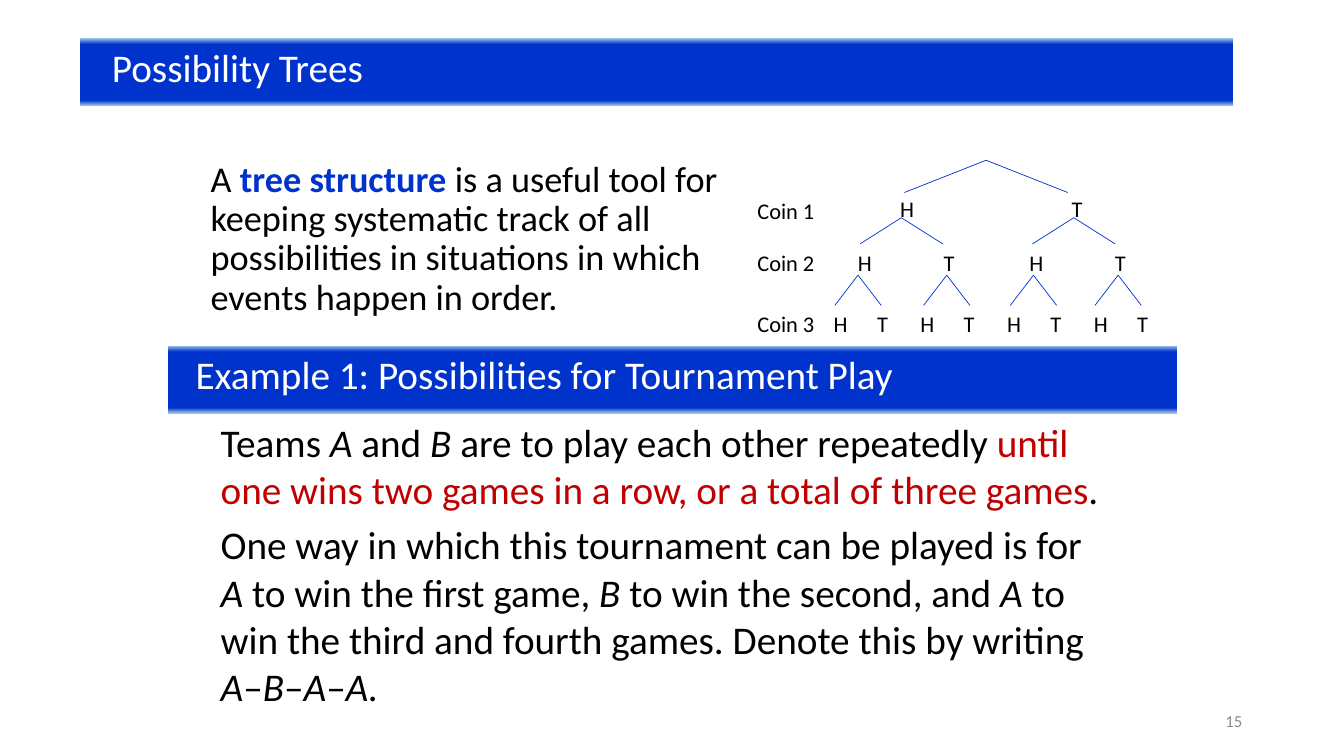
from copy import deepcopy

from lxml import etree
from pptx import Presentation
from pptx.dml.color import RGBColor
from pptx.enum import shapes, text
from pptx.oxml import ns
from pptx.util import Inches, Pt

COLORS = {
    "blue": "0033CC",
    "light_blue": "9DC3E6",
    "red": "C00000",
    "black": "000000",
    "white": "FFFFFF",
    "gray": "8C8C8C",
}
BAR_STOPS = [(0, "light_blue"), (0.09, "blue"), (0.92, "blue"), (1, "light_blue")]

# Letter left, letter step, letter top, label top, branch half width,
# branch top, branch bottom and branch apexes of each coin's level
TREE_LEVELS = [
    (8.83, 1.7, 1.89, 1.91, 0.81, 1.59, 1.91, [9.78]),
    (8.41, 0.85, 2.42, 2.42, 0.41, 2.16, 2.42, [8.94, 10.65]),
    (8.17, 0.43, 3.03, 3.03, 0.23, 2.73, 3.03, [8.51, 9.39, 10.25, 11.09]),
]

DEFINITION = [[
    ("A ", ""),
    ("tree structure ", "term"),
    ("is a useful tool for keeping systematic track of all possibilities "
     "in situations in which events happen in order.", ""),
]]
TOURNAMENT = [
    [
        ("Teams ", ""), ("A", "team"), (" and ", ""), ("B", "team"),
        (" are to play each other repeatedly ", ""),
        ("until one wins two games in a row, or a total of three games", "rule"),
        (".", ""),
    ],
    [
        ("One way in which this tournament can be played is for ", ""),
        ("A", "team"), (" to win the first game, ", ""),
        ("B", "team"), (" to win the second, and ", ""),
        ("A", "team"),
        (" to win the third and fourth games. Denote this by writing ", ""),
        ("A", "team"), ("–", ""), ("B", "team"), ("–", ""),
        ("A", "team"), ("–", ""), ("A.", "team"),
    ],
]


def rgb(name):
    return RGBColor.from_string(COLORS[name])


def set_font(font, size, color="black"):
    font.name = "Calibri"
    font.size = Pt(size)
    font.color.rgb = rgb(color)


def format_bar(shape, box, heading, indent):
    """Place a heading bar and give it its gradient and white text."""
    shape.left, shape.top, shape.width, shape.height = map(Inches, box)
    shape.fill.gradient()
    shape.fill.gradient_angle = 270
    stop_list = shape.element.spPr.find(".//" + ns.qn("a:gsLst"))
    for stop in list(stop_list):
        stop_list.append(deepcopy(stop))
    for stop, (position, color) in zip(shape.fill.gradient_stops, BAR_STOPS):
        stop.position = position
        stop.color.rgb = rgb(color)
    shape.line.fill.background()
    frame = shape.text_frame
    frame.text = heading
    frame.word_wrap = True
    frame.auto_size = text.MSO_AUTO_SIZE.NONE
    frame.vertical_anchor = text.MSO_ANCHOR.TOP
    frame.margin_left = Inches(indent)
    paragraph = frame.paragraphs[0]
    paragraph.alignment = text.PP_ALIGN.LEFT
    set_font(paragraph.runs[0].font, 28, "white")


def add_label(parent, box, label, size=16, color="black",
              alignment=text.PP_ALIGN.CENTER):
    frame = parent.add_textbox(*map(Inches, box)).text_frame
    frame.text = label
    frame.word_wrap = True
    paragraph = frame.paragraphs[0]
    paragraph.alignment = alignment
    set_font(paragraph.runs[0].font, size, color)
    return frame


def add_rich_text(slide, box, paragraphs, size, line_spacing=None):
    """Add a text box whose paragraphs are lists of (words, style)."""
    frame = slide.shapes.add_textbox(*map(Inches, box)).text_frame
    frame.word_wrap = True
    for index, pieces in enumerate(paragraphs):
        paragraph = frame.add_paragraph() if index else frame.paragraphs[0]
        paragraph.line_spacing = line_spacing
        if index:
            paragraph.space_before = Pt(6)
        for words, style in pieces:
            run = paragraph.add_run()
            run.text = words
            color = {"term": "blue", "rule": "red"}.get(style, "black")
            set_font(run.font, size, color)
            run.font.bold = style == "term"
            run.font.italic = style == "team"


def add_branch(parent, start, end):
    connector = parent.add_connector(
        shapes.MSO_CONNECTOR.STRAIGHT, *map(Inches, start + end))
    connector.line.color.rgb = rgb("blue")
    connector.line.width = Pt(0.5)
    etree.SubElement(connector.element.spPr, ns.qn("a:effectLst"))


def add_coin_tree(slide):
    tree = slide.shapes.add_group_shape().shapes
    for coin, level in enumerate(TREE_LEVELS, start=1):
        left, step, letter_top, label_top, half, top, bottom, apexes = level
        add_label(tree, (7.38, label_top, 0.83, 0.37), f"Coin {coin}")
        for apex in apexes:
            for end in (apex - half, apex + half):
                add_branch(tree, (apex, top), (end, bottom))
        for index, letter in enumerate("HT" * len(apexes)):
            add_label(tree, (left + index * step, letter_top, 0.25, 0.37), letter)


def main():
    presentation = Presentation()
    presentation.slide_width = Inches(13.33)
    presentation.slide_height = Inches(7.5)
    slide = presentation.slides.add_slide(presentation.slide_layouts[5])

    format_bar(slide.shapes.title, (0.79, 0.38, 11.44, 0.67),
               "Possibility Trees", 0.32)
    add_rich_text(slide, (1.99, 1.55, 5.6, 1.71), DEFINITION, 25.9, 0.9)
    example_bar = slide.shapes.add_shape(
        shapes.MSO_SHAPE.RECTANGLE, 0, 0, 0, 0)
    example_bar.shadow.inherit = False
    format_bar(example_bar, (1.67, 3.43, 10, 0.67),
               "Example 1: Possibilities for Tournament Play", 0.27)
    add_rich_text(slide, (2.09, 4.1, 9, 2.99), TOURNAMENT, 28)
    add_coin_tree(slide)
    number = add_label(slide.shapes, (9.42, 6.95, 3, 0.4), "15", 12, "gray",
                       text.PP_ALIGN.RIGHT)
    number.vertical_anchor = text.MSO_ANCHOR.MIDDLE

    presentation.save("out.pptx")


if __name__ == "__main__":
    main()
